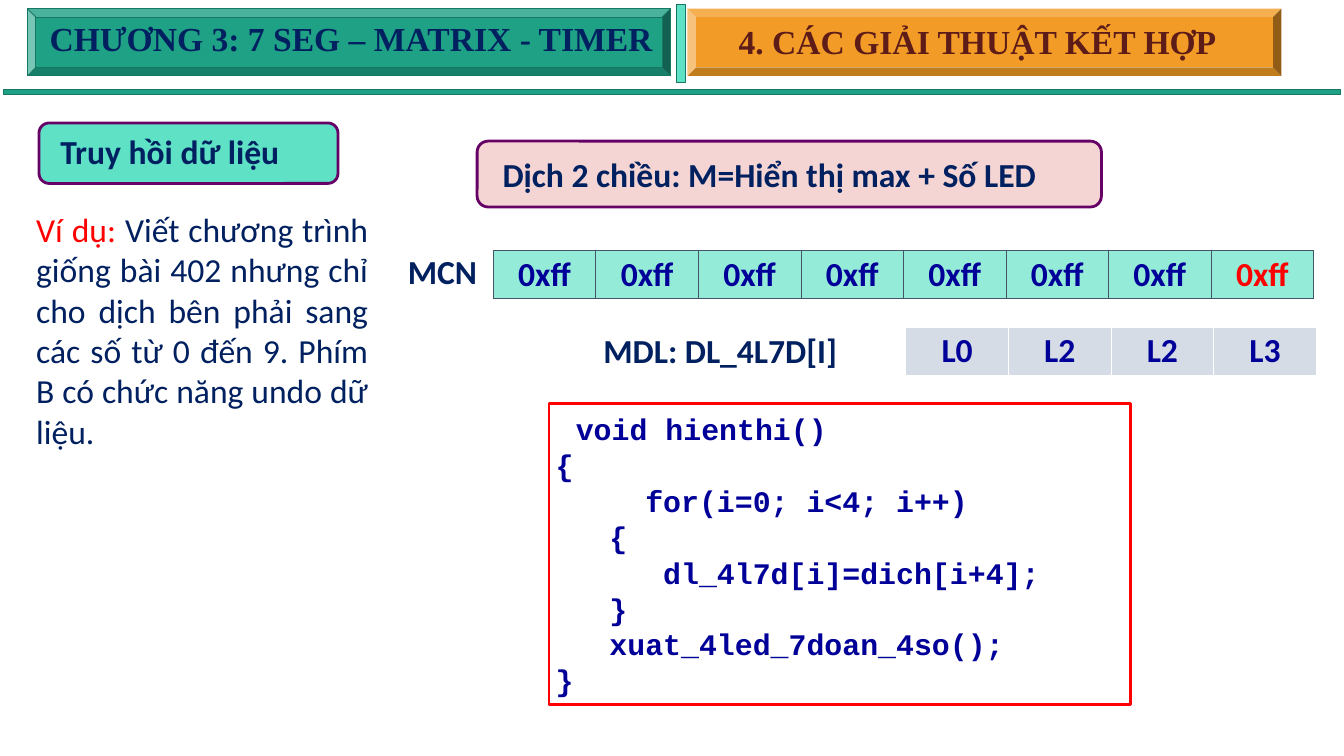
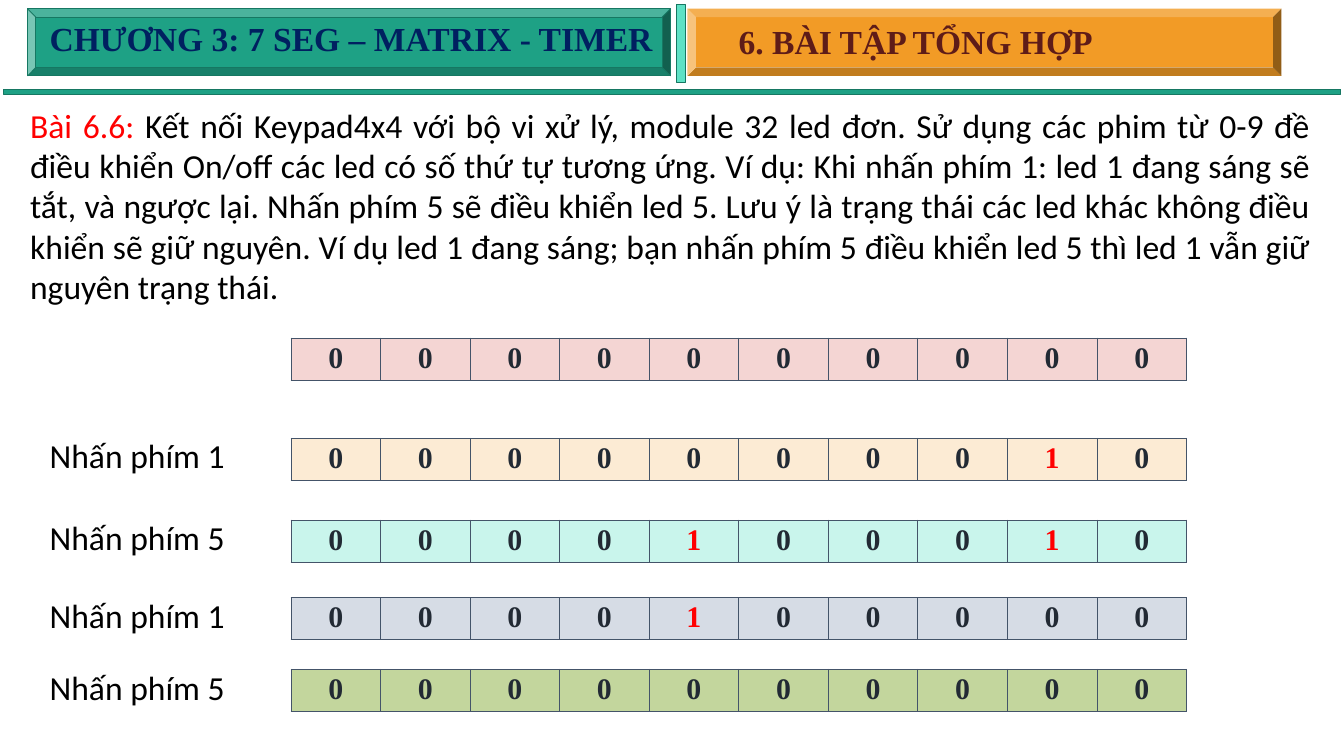
from dataclasses import dataclass
from typing import Optional, Sequence

import lxml.etree
import pptx
import pptx.dml.color
import pptx.enum.shapes
import pptx.enum.text
import pptx.oxml.ns
import pptx.util

Inches = pptx.util.Inches
Preset = pptx.enum.shapes.MSO_SHAPE
Align = pptx.enum.text.PP_ALIGN
Anchor = pptx.enum.text.MSO_ANCHOR


@dataclass(frozen=True)
class Theme:
    green: str = "1EA185"
    green_edge: str = "167762"
    mint: str = "5EE1C5"
    mint_cell: str = "93EBD8"
    mint_pale: str = "C9F5EC"
    orange: str = "F29B26"
    cream: str = "FCEBD4"
    pink: str = "F4D5D3"
    grey: str = "D6DCE5"
    olive: str = "C3D69D"
    purple: str = "660066"
    navy: str = "002060"
    blue: str = "000099"
    brown: str = "5E1C18"
    red: str = "FF0000"
    black: str = "000000"
    white: str = "FFFFFF"
    digit: str = "222A34"
    cell_edge: str = "445469"
    body_font: str = "Calibri"
    title_font: str = "Times New Roman"
    code_font: str = "Courier New"
    body_size: int = 36
    small_size: int = 32


THEME = Theme()


@dataclass(frozen=True)
class Box:
    left: float
    top: float
    width: float
    height: float

    def lengths(self) -> tuple:
        return tuple(Inches(v) for v in (self.left, self.top, self.width, self.height))


@dataclass(frozen=True)
class Run:
    text: str
    color: str = THEME.navy
    bold: bool = True
    font: str = THEME.body_font
    size: int = THEME.body_size


@dataclass(frozen=True)
class Panel:
    preset: Preset
    box: Box
    fill: Optional[str]
    line: Optional[str] = None
    line_width: float = 1


@dataclass(frozen=True)
class Label:
    box: Box
    runs: Sequence[Run]
    align: Align = Align.LEFT


@dataclass(frozen=True)
class Strip:
    box: Box
    cells: Sequence[Run]
    fill: str
    border: str = THEME.cell_edge


HEADER_PANELS = (
    Panel(Preset.MATH_MINUS, Box(-3.54, 1.2, 27.08, 0.33), THEME.green, THEME.green_edge),
    Panel(Preset.BEVEL, Box(0.41, 0.13, 9.57, 1), THEME.green, THEME.green_edge),
    Panel(Preset.MATH_MINUS, Box(10.05, -1.82, 0.17, 4.93), THEME.mint, THEME.green_edge),
    Panel(Preset.BEVEL, Box(10.23, 0.13, 8.84, 1), THEME.orange),
)
CHAPTER = Label(
    Box(0.64, 0.22, 12.25, 0.71),
    [Run("CHƯƠNG 3: 7 SEG – MATRIX - TIMER", font=THEME.title_font)],
)
TITLE_BOX = Box(10.89, 0.26, 7.8, 0.71)

CODE_LINES = (
    "void hienthi()",
    "{",
    "     for(i=0; i<4; i++)",
    "   {",
    "      dl_4l7d[i]=dich[i+4];",
    "   }",
    "   xuat_4led_7doan_4so();",
    "}",
)

KEY_STATES = (
    (None, "0000000000", 5.03, THEME.pink),
    ("Nhấn phím 1", "0000000010", 6.52, THEME.cream),
    ("Nhấn phím 5", "0000100010", 7.74, THEME.mint_pale),
    ("Nhấn phím 1", "0000100000", 8.89, THEME.grey),
    ("Nhấn phím 5", "0000000000", 9.96, THEME.olive),
)


def rgb(color: str) -> pptx.dml.color.RGBColor:
    return pptx.dml.color.RGBColor.from_string(color)


def write_runs(paragraph, runs: Sequence[Run], align: Align) -> None:
    paragraph.alignment = align
    for item in runs:
        run = paragraph.add_run()
        run.text = item.text
        run.font.name = item.font
        run.font.size = pptx.util.Pt(item.size)
        run.font.bold = item.bold
        run.font.color.rgb = rgb(item.color)


def prepare_frame(frame) -> None:
    frame.word_wrap = True
    frame.auto_size = pptx.enum.text.MSO_AUTO_SIZE.NONE
    frame.vertical_anchor = Anchor.TOP


def draw_panel(slide, panel: Panel):
    shape = slide.shapes.add_shape(panel.preset, *panel.box.lengths())
    shape.shadow.inherit = False
    if panel.fill:
        shape.fill.solid()
        shape.fill.fore_color.rgb = rgb(panel.fill)
    else:
        shape.fill.background()
    if panel.line:
        shape.line.color.rgb = rgb(panel.line)
        shape.line.width = pptx.util.Pt(panel.line_width)
    else:
        shape.line.fill.background()
    return shape


def draw_label(slide, label: Label) -> None:
    frame = slide.shapes.add_textbox(*label.box.lengths()).text_frame
    prepare_frame(frame)
    write_runs(frame.paragraphs[0], label.runs, label.align)


def set_borders(cell, color: str) -> None:
    properties = cell._tc.get_or_add_tcPr()
    for position, side in enumerate(("lnL", "lnR", "lnT", "lnB")):
        line = lxml.etree.Element(pptx.oxml.ns.qn(f"a:{side}"), w=str(pptx.util.Pt(1)))
        fill = lxml.etree.SubElement(line, pptx.oxml.ns.qn("a:solidFill"))
        lxml.etree.SubElement(fill, pptx.oxml.ns.qn("a:srgbClr"), val=color)
        properties.insert(position, line)


def draw_strip(slide, strip: Strip) -> None:
    count = len(strip.cells)
    table = slide.shapes.add_table(1, count, *strip.box.lengths()).table
    table.first_row = False
    table.horz_banding = False
    for column, item in enumerate(strip.cells):
        table.columns[column].width = Inches(strip.box.width / count)
        cell = table.cell(0, column)
        cell.fill.solid()
        cell.fill.fore_color.rgb = rgb(strip.fill)
        cell.vertical_anchor = Anchor.TOP
        write_runs(cell.text_frame.paragraphs[0], [item], Align.CENTER)
        set_borders(cell, strip.border)


def draw_code(slide, box: Box) -> None:
    frame = draw_panel(slide, Panel(Preset.RECTANGLE, box, None, THEME.red, 3)).text_frame
    prepare_frame(frame)
    for index, line in enumerate(CODE_LINES):
        paragraph = frame.add_paragraph() if index else frame.paragraphs[0]
        runs = [Run(line, THEME.blue, font=THEME.code_font, size=THEME.small_size)]
        if index == 0:
            runs.insert(0, Run(" ", THEME.blue, font=THEME.code_font))
        write_runs(paragraph, runs, Align.LEFT)


def add_slide(presentation, title_text: str):
    slide = presentation.slides.add_slide(presentation.slide_layouts.get_by_name("Title Only"))
    for panel in HEADER_PANELS:
        draw_panel(slide, panel)
    draw_label(slide, CHAPTER)
    title = slide.shapes.title
    title.left, title.top, title.width, title.height = TITLE_BOX.lengths()
    prepare_frame(title.text_frame)
    write_runs(
        title.text_frame.paragraphs[0],
        [Run(title_text, THEME.brown, font=THEME.title_font)],
        Align.LEFT,
    )
    title.element.getparent().append(title.element)
    return slide


def build_retrieval_slide(presentation) -> None:
    slide = add_slide(presentation, "4. CÁC GIẢI THUẬT KẾT HỢP")
    example = [
        Run("Ví dụ: ", THEME.red, False),
        Run("Viết chương trình giống bài 402 nhưng chỉ cho dịch bên phải sang các số từ 0 "
            "đến 9. Phím B có chức năng undo dữ liệu.", bold=False),
    ]
    draw_label(slide, Label(Box(0.44, 3.06, 5.14, 4.34), example, Align.JUSTIFY))
    for box, fill in (
        (Box(0.58, 1.83, 4.45, 0.9), THEME.mint),
        (Box(7.1, 2.1, 9.29, 0.98), THEME.pink),
    ):
        draw_panel(slide, Panel(Preset.ROUNDED_RECTANGLE, box, fill, THEME.purple, 3))
    for text, left, top, width in (
        ("Truy hồi dữ liệu", 0.8, 1.9, 4.43),
        ("Dịch 2 chiều: M=Hiển thị max + Số LED", 7.38, 2.24, 9),
        ("MCN", 5.97, 3.69, 9),
        ("MDL: DL_4L7D[I]", 8.88, 4.86, 9),
    ):
        draw_label(slide, Label(Box(left, top, width, 0.71), [Run(text)]))
    shift_cells = [Run("0xff", THEME.blue)] * 7 + [Run("0xff", THEME.red)]
    draw_strip(slide, Strip(Box(7.34, 3.73, 12.21, 0.7), shift_cells, THEME.mint_cell))
    led_cells = [Run(text, THEME.blue) for text in ("L0", "L2", "L2", "L3")]
    draw_strip(slide, Strip(Box(13.48, 4.87, 6.11, 0.7), led_cells, THEME.grey, THEME.white))
    draw_code(slide, Box(8.17, 6, 8.65, 4.48))


def build_exercise_slide(presentation) -> None:
    slide = add_slide(presentation, "6. BÀI TẬP TỔNG HỢP")
    exercise = [
        Run("Bài 6.6: ", THEME.red, False),
        Run("Kết nối Keypad4x4 với bộ vi xử lý, module 32 led đơn. Sử dụng các phim từ 0-9 đề "
            "điều khiển On/off các led có số thứ tự tương ứng. Ví dụ: Khi nhấn phím 1: led 1 "
            "đang sáng sẽ tắt, và ngược lại. Nhấn phím 5 sẽ điều khiển led 5. Lưu ý là trạng "
            "thái các led khác không điều khiển sẽ giữ nguyên. Ví dụ led 1 đang sáng; bạn nhấn "
            "phím 5 điều khiển led 5 thì led 1 vẫn giữ nguyên trạng thái.", THEME.black, False),
    ]
    draw_label(slide, Label(Box(0.35, 1.51, 19.26, 3.13), exercise, Align.JUSTIFY))
    for caption, bits, top, fill in KEY_STATES:
        cells = [
            Run(bit, THEME.red if bit == "1" else THEME.digit,
                font=THEME.title_font, size=THEME.small_size)
            for bit in bits
        ]
        draw_strip(slide, Strip(Box(4.33, top, 13.33, 0.63), cells, fill))
        if caption:
            runs = [Run(caption, THEME.black, False)]
            draw_label(slide, Label(Box(0.64, top - 0.09, 4.08, 0.71), runs, Align.JUSTIFY))


def main() -> None:
    presentation = pptx.Presentation()
    presentation.slide_width = Inches(20)
    presentation.slide_height = Inches(11.25)
    build_retrieval_slide(presentation)
    build_exercise_slide(presentation)
    presentation.save("out.pptx")


if __name__ == "__main__":
    main()
